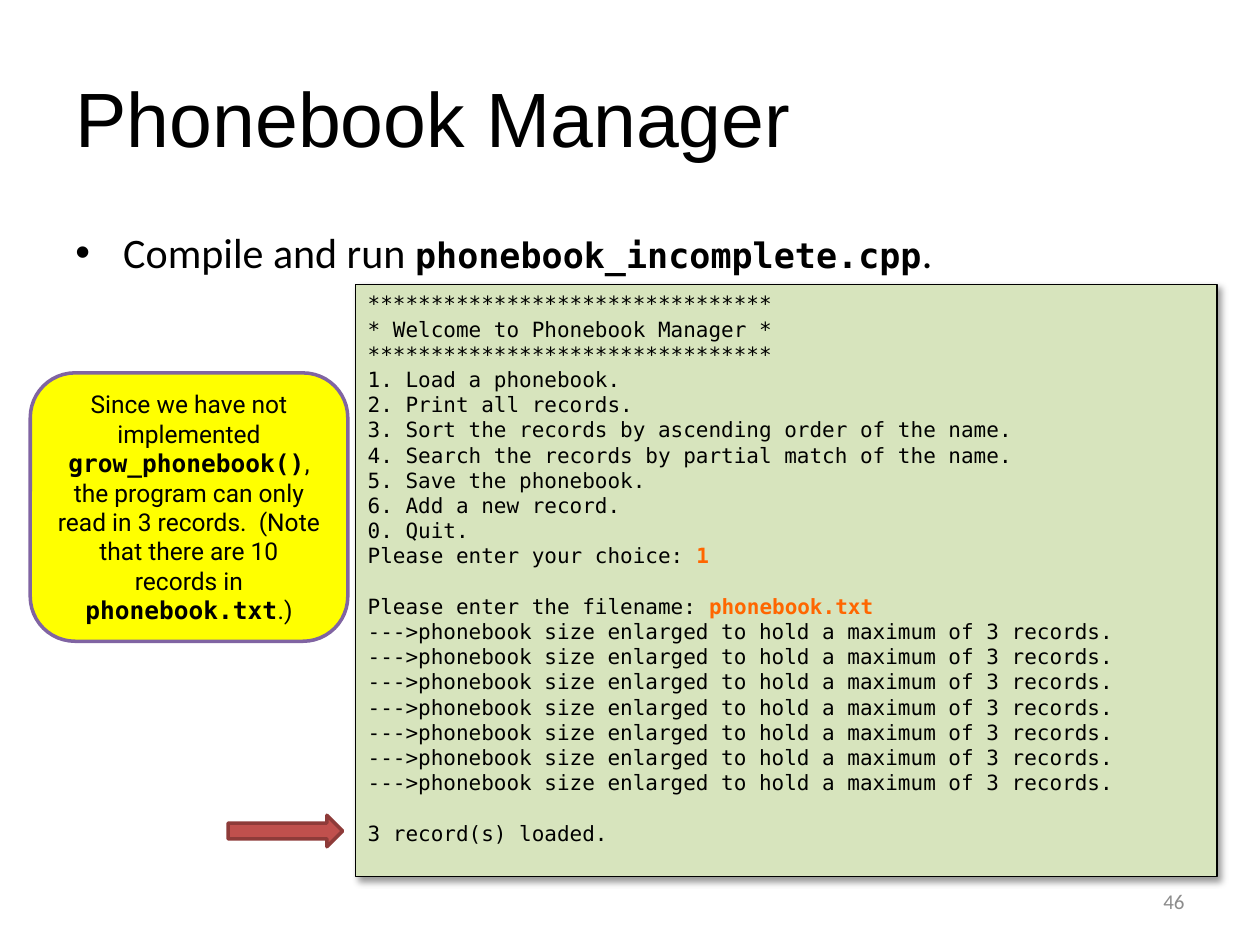
from lxml.etree import SubElement
from pptx import Presentation
from pptx.dml.color import RGBColor
from pptx.enum.shapes import MSO_SHAPE
from pptx.enum.text import MSO_ANCHOR, PP_ALIGN
from pptx.oxml.ns import qn
from pptx.util import Inches, Pt

BLACK = RGBColor(0x00, 0x00, 0x00)
GRAY = RGBColor(0x8C, 0x8C, 0x8C)
GREEN = RGBColor(0xD7, 0xE4, 0xBD)
ORANGE = RGBColor(0xFF, 0x66, 0x00)
YELLOW = RGBColor(0xFF, 0xFF, 0x00)
PURPLE = RGBColor(0x80, 0x64, 0xA2)
RED = RGBColor(0xC0, 0x50, 0x4D)
MAROON = RGBColor(0x8E, 0x3B, 0x39)
MONO = "DejaVu Sans Mono"
STARS = "*" * 32
GROWN = "--->phonebook size enlarged to hold a maximum of 3 records."
MENU = [
    STARS,
    "* Welcome to Phonebook Manager *",
    STARS,
    "1. Load a phonebook.",
    "2. Print all records.",
    "3. Sort the records by ascending order of the name.",
    "4. Search the records by partial match of the name.",
    "5. Save the phonebook.",
    "6. Add a new record.",
    "0. Quit.",
]
CHOICE = ["Please enter your choice: ", "1"]
FILE = ["Please enter the filename: ", "phonebook.txt"]
BLOCKS = [
    [[line] for line in MENU] + [CHOICE],
    [FILE] + [[GROWN]] * 7,
    [["3 record(s) loaded."]],
]


class Deck:
    """Style and current slide, laid out on a grid of 100 columns by 75 rows."""

    def __init__(self):
        self.show = Presentation()
        self.show.slide_width, self.show.slide_height = Inches(10), Inches(7.5)
        self.col = self.show.slide_width / 100
        self.row = self.show.slide_height / 75
        self.slide = self.show.slides.add_slide(self.show.slide_layouts[5])

    def place(self, left, top, width, height):
        """Turn columns and rows into lengths."""
        return (int(left * self.col), int(top * self.row),
                int(width * self.col), int(height * self.row))

    def fill_runs(self, para, parts, size, face, color=BLACK, code_size=None, accent=None):
        """Add parts as runs, where every second one is bold code."""
        for index, part in enumerate(parts):
            run = para.add_run()
            run.text = part
            bold = index % 2 == 1
            run.font.bold = bold
            run.font.name = MONO if bold else face
            run.font.size = Pt(code_size if bold and code_size else size)
            run.font.color.rgb = accent if bold and accent else color

    def title(self, text, *area):
        """Move and format the title."""
        head = self.slide.shapes.title
        head.left, head.top, head.width, head.height = self.place(*area)
        head.text_frame.vertical_anchor = MSO_ANCHOR.MIDDLE
        para = head.text_frame.paragraphs[0]
        para.alignment = PP_ALIGN.LEFT
        self.fill_runs(para, [text], 44, "Arial")

    def text(self, parts, size, *area, color=BLACK, align=PP_ALIGN.LEFT, anchor=MSO_ANCHOR.TOP):
        """Add a text box and return its paragraph."""
        frame = self.slide.shapes.add_textbox(*self.place(*area)).text_frame
        frame.word_wrap = True
        frame.vertical_anchor = anchor
        para = frame.paragraphs[0]
        para.alignment = align
        self.fill_runs(para, parts, size, "Calibri", color, code_size=20)
        return para

    def bullet(self, parts, *area):
        """Add a bulleted line."""
        props = self.text(parts, 24, *area)._p.get_or_add_pPr()
        props.set("marL", str(Inches(0.38)))
        props.set("indent", str(-Inches(0.38)))
        SubElement(props, qn("a:buFont"), typeface="Arial")
        SubElement(props, qn("a:buChar"), char="•")

    def shape(self, kind, fill, line, weight, *area):
        """Add a filled and outlined shape."""
        item = self.slide.shapes.add_shape(kind, *self.place(*area))
        item.shadow.inherit = False
        item.fill.solid()
        item.fill.fore_color.rgb = fill
        item.line.color.rgb = line
        item.line.width = Pt(weight)
        item.text_frame.word_wrap = True
        return item

    def shade(self, item):
        """Cast a soft shadow down and to the right."""
        effects = item._element.spPr.find(qn("a:effectLst"))
        cast = SubElement(effects, qn("a:outerShdw"), blurRad=str(Pt(4)), dist=str(Pt(3)),
                          dir="2700000", algn="tl", rotWithShape="0")
        tone = SubElement(cast, qn("a:srgbClr"), val=str(BLACK))
        SubElement(tone, qn("a:alpha"), val="40000")

    def console(self, blocks, *area):
        """Add a console panel with a one-line gap between blocks."""
        panel = self.shape(MSO_SHAPE.RECTANGLE, GREEN, BLACK, 0.75, *area)
        self.shade(panel)
        frame = panel.text_frame
        frame.vertical_anchor = MSO_ANCHOR.TOP
        for number, block in enumerate(blocks):
            for index, parts in enumerate(block):
                first = number == index == 0
                para = frame.paragraphs[0] if first else frame.add_paragraph()
                para.alignment = PP_ALIGN.LEFT
                if number and not index:
                    para.space_before = Pt(14.4)
                self.fill_runs(para, parts, 12, MONO, accent=ORANGE)

    def note(self, parts, *area):
        """Add a rounded note with centred text."""
        card = self.shape(MSO_SHAPE.ROUNDED_RECTANGLE, YELLOW, PURPLE, 2, *area)
        card.text_frame.vertical_anchor = MSO_ANCHOR.MIDDLE
        para = card.text_frame.paragraphs[0]
        para.alignment = PP_ALIGN.CENTER
        self.fill_runs(para, parts, 14, "Roboto")


def main():
    """Build the slide."""
    deck = Deck()
    deck.title("Phonebook Manager", 5, 3, 90, 12.5)
    deck.bullet(["Compile and run ", "phonebook_incomplete.cpp", "."], 5, 17.5, 90, 5)
    deck.text(["46"], 12, 71.7, 69.5, 23.3, 4, color=GRAY,
              align=PP_ALIGN.RIGHT, anchor=MSO_ANCHOR.MIDDLE)
    deck.console(BLOCKS, 28.2, 22.6, 68.4, 47)
    deck.note(["Since we have not implemented ", "grow_phonebook()",
               ", the program can only read in 3 records.  (Note that there are 10 records in ",
               "phonebook.txt", ".)"], 2.4, 29.6, 25.2, 21.3)
    deck.shape(MSO_SHAPE.RIGHT_ARROW, RED, MAROON, 2, 18.1, 64.7, 9.1, 2.5)
    deck.show.save("out.pptx")


if __name__ == "__main__":
    main()
